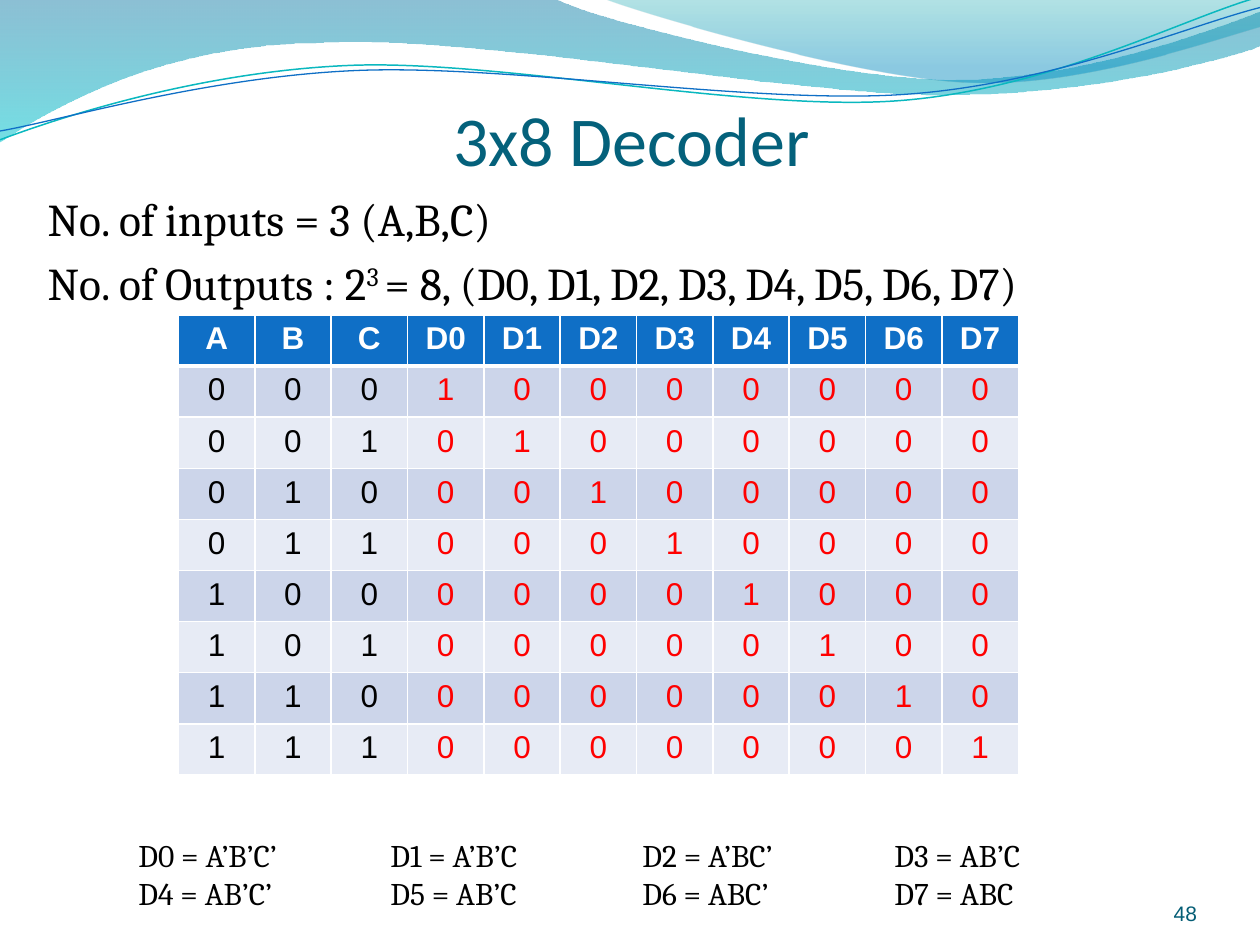
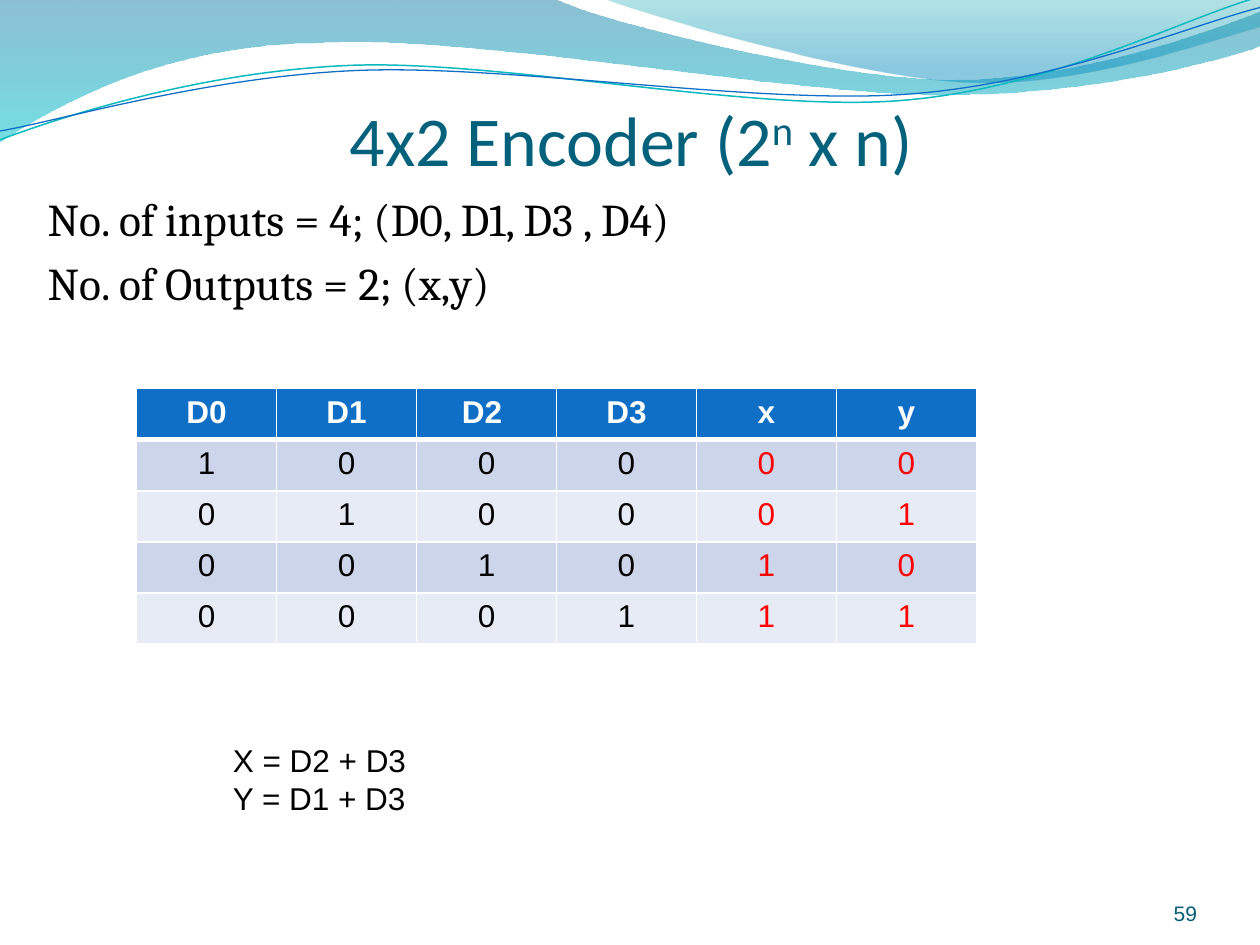
"""Build two slides on a 3x8 decoder and a 4x2 encoder with their truth tables."""
from dataclasses import dataclass
from itertools import product
from typing import NamedTuple

from lxml.etree import SubElement
from pptx import Presentation
from pptx.dml.color import RGBColor
from pptx.enum.text import MSO_ANCHOR as Anchor, PP_ALIGN as Align
from pptx.oxml.ns import qn
from pptx.slide import Slide
from pptx.util import Inches, Pt

COLORS = {
    "title": "04617B", "number": "045D75", "text": "000000", "output": "FF0000",
    "white": "FFFFFF", "header": "0F6FC6", "odd_row": "CCD5EA", "even_row": "E7EBF5",
    "wave_blue": "0074A1", "wave_cyan": "00C6CF", "crest_teal": "00A1A9",
    "crest_blue": "008BBF", "teal_line": "0AB8BF", "blue_line": "0F6FC6",
}


class Box(NamedTuple):
    left: float
    top: float
    width: float
    height: float


class Stop(NamedTuple):
    position: float
    color: str
    opacity: int


class TextStyle(NamedTuple):
    font: str
    size: float
    color: str
    align: Align = Align.LEFT
    anchor: Anchor = Anchor.TOP
    insets: tuple[float, float, float, float] = (0.1, 0.05, 0.1, 0.05)
    space_before: float = 0
    tabs: tuple[float, ...] = ()


@dataclass(frozen=True)
class Wave:
    """A shape whose segments are corners (2 numbers) or cubic curves (6 numbers)."""
    start: tuple[float, float]
    segments: tuple[tuple[float, ...], ...]
    stops: tuple[Stop, ...] = ()
    line_color: str = ""
    line_width: float = 0


@dataclass(frozen=True)
class TruthTable:
    box: Box
    headers: list[str]
    rows: list[tuple[int, ...]]
    input_count: int


@dataclass(frozen=True)
class CircuitSlide:
    """Lines are tuples of pieces, of which every second one is superscript."""
    title: tuple[str, ...]
    facts: list[tuple[str, ...]]
    table: TruthTable
    equations: list[tuple[str, ...]]
    equation_box: Box
    equation_style: TextStyle
    number: int


WAVES = [
    Wave((0, -0.01), (
        (4.4, -0.01), (4.76, 0.17, 6.64, 0.63, 7.58, 0.63),
        (8.53, 0.63, 9.58, 0.26, 10, 0.09), (10.01, 0.36),
        (9.83, 0.44, 8.7, 0.76, 7.46, 0.75), (6.22, 0.75, 3.82, 0.28, 2.57, 0.34),
        (1.29, 0.35, 0.46, 0.83, -0.01, 1.13), (0, -0.01)),
        stops=(Stop(0, "wave_blue", 45), Stop(1, "wave_cyan", 55))),
    Wave((4.79, -0.01), (
        (5.09, 0.11, 6.82, 0.62, 7.69, 0.65), (8.56, 0.69, 9.61, 0.32, 10, 0.21),
        (10, 0), (4.79, -0.01)),
        stops=(Stop(0, "crest_teal", 30), Stop(0.8, "crest_blue", 45))),
    Wave((0, 1.11), (
        (0.48, 0.93, 1.58, 0.57, 2.77, 0.52), (3.95, 0.47, 5.93, 0.89, 7.13, 0.8),
        (8.33, 0.71, 9.38, 0.15, 9.98, -0.02)),
        line_color="teal_line", line_width=0.85),
    Wave((0, 1.04), (
        (0.47, 0.96, 1.64, 0.61, 2.83, 0.56), (4.03, 0.51, 5.97, 0.83, 7.17, 0.75),
        (8.36, 0.67, 9.41, 0.21, 10, 0.06)),
        line_color="blue_line", line_width=0.75),
]

TITLE_BOX = Box(0.75, 0.33, 8.52, 1.1)
FACTS_BOX = Box(0.28, 1.47, 9.52, 5.45)
NUMBER_BOX = Box(8.67, 6.95, 0.83, 0.4)
TABLE_WIDTH = 20 / 3
TITLE_STYLE = TextStyle("Calibri", 40, "title", Align.CENTER, Anchor.BOTTOM, (0, 0.05, 0, 0))
FACTS_STYLE = TextStyle("Cambria", 26, "text", space_before=5.2)
NUMBER_STYLE = TextStyle("Arial", 12, "number", Align.RIGHT, Anchor.BOTTOM, (0, 0, 0, 0))


def rgb(name: str) -> RGBColor:
    return RGBColor.from_string(COLORS[name])


def one_hot(size: int) -> list[tuple[int, ...]]:
    return [tuple(int(row == column) for column in range(size)) for row in range(size)]


def bits(count: int) -> list[tuple[int, ...]]:
    return list(product((0, 1), repeat=count))


def bend_segments(shape, wave: Wave) -> None:
    for line, segment in zip(list(shape.element.iter(qn("a:lnTo"))), wave.segments):
        if len(segment) == 2:
            continue
        line.tag = qn("a:cubicBezTo")
        end_point = line[0]
        for x, y in (segment[0:2], segment[2:4]):
            control = SubElement(line, qn("a:pt"))
            control.set("x", str(Inches(x) - shape.left))
            control.set("y", str(Inches(y) - shape.top))
        line.append(end_point)


def draw_wave(slide: Slide, wave: Wave) -> None:
    builder = slide.shapes.build_freeform(*map(Inches, wave.start))
    ends = [tuple(map(Inches, segment[-2:])) for segment in wave.segments]
    builder.add_line_segments(ends, close=bool(wave.stops))
    shape = builder.convert_to_shape()
    bend_segments(shape, wave)
    shape.shadow.inherit = False
    if not wave.stops:
        shape.fill.background()
        shape.line.color.rgb = rgb(wave.line_color)
        shape.line.width = Pt(wave.line_width)
        return
    shape.line.fill.background()
    shape.fill.gradient()
    shape.fill.gradient_angle = 270
    for gradient_stop, stop in zip(shape.fill.gradient_stops, wave.stops):
        gradient_stop.position = stop.position
        gradient_stop.color.rgb = rgb(stop.color)
    for color, stop in zip(shape.element.iter(qn("a:srgbClr")), wave.stops):
        SubElement(color, qn("a:alpha"), val=str(stop.opacity * 1000))


def draw_text(slide: Slide, box: Box, lines: list[tuple[str, ...]], style: TextStyle) -> None:
    frame = slide.shapes.add_textbox(*map(Inches, box)).text_frame
    frame.word_wrap = True
    frame.vertical_anchor = style.anchor
    (frame.margin_left, frame.margin_top,
     frame.margin_right, frame.margin_bottom) = map(Inches, style.insets)
    for index, pieces in enumerate(lines):
        paragraph = frame.add_paragraph() if index else frame.paragraphs[0]
        paragraph.alignment = style.align
        if index and style.space_before:
            paragraph.space_before = Pt(style.space_before)
        if style.tabs:
            tab_list = SubElement(paragraph._p.get_or_add_pPr(), qn("a:tabLst"))
            for tab in style.tabs:
                SubElement(tab_list, qn("a:tab"), pos=str(Inches(tab)), algn="l")
        paragraph.font.name = style.font
        paragraph.font.size = Pt(style.size)
        paragraph.font.color.rgb = rgb(style.color)
        for position, piece in enumerate(pieces):
            run = paragraph.add_run()
            run.text = piece
            if position % 2:
                run._r.get_or_add_rPr().set("baseline", "30000")


def draw_borders(cell, row_index: int) -> None:
    widths = {"L": 1, "R": 1, "T": 3 if row_index == 1 else 1, "B": 1 if row_index else 3}
    properties = cell._tc.get_or_add_tcPr()
    for side, width in widths.items():
        border = SubElement(properties, qn(f"a:ln{side}"), w=str(Pt(width)))
        SubElement(SubElement(border, qn("a:solidFill")), qn("a:srgbClr"), val=COLORS["white"])


def draw_table(slide: Slide, truth: TruthTable) -> None:
    rows = [truth.headers, *truth.rows]
    table = slide.shapes.add_table(
        len(rows), len(truth.headers), *map(Inches, truth.box)).table
    for row_index, values in enumerate(rows):
        is_header = row_index == 0
        fill_color = "header" if is_header else "odd_row" if row_index % 2 else "even_row"
        for column, value in enumerate(values):
            cell = table.cell(row_index, column)
            draw_borders(cell, row_index)
            cell.fill.solid()
            cell.fill.fore_color.rgb = rgb(fill_color)
            cell.text = str(value)
            paragraph = cell.text_frame.paragraphs[0]
            paragraph.alignment = Align.CENTER
            paragraph.font.name = "Arial"
            paragraph.font.size = Pt(18)
            paragraph.font.bold = is_header
            body_color = "text" if column < truth.input_count else "output"
            paragraph.font.color.rgb = rgb("white" if is_header else body_color)


def draw_slide(slide: Slide, content: CircuitSlide) -> None:
    for wave in WAVES:
        draw_wave(slide, wave)
    draw_text(slide, NUMBER_BOX, [(str(content.number),)], NUMBER_STYLE)
    draw_text(slide, TITLE_BOX, [content.title], TITLE_STYLE)
    draw_text(slide, FACTS_BOX, content.facts, FACTS_STYLE)
    draw_table(slide, content.table)
    draw_text(slide, content.equation_box, content.equations, content.equation_style)


DECODER = CircuitSlide(
    title=("3x8 Decoder",),
    facts=[("No. of inputs = 3 (A,B,C)",),
           ("No. of Outputs : 2", "3 ", "= 8, (D0, D1, D2, D3, D4, D5, D6, D7)")],
    table=TruthTable(
        Box(17 / 12, 2.5, TABLE_WIDTH, 3.65), [*"ABC", *(f"D{index}" for index in range(8))],
        [code + outputs for code, outputs in zip(bits(3), one_hot(8))], 3),
    equations=[("D0 = A’B’C’\tD1 = A’B’C\tD2 = A’BC’\tD3 = AB’C",),
               ("D4 = AB’C’\tD5 = AB’C\tD6 = ABC’\tD7 = ABC",)],
    equation_box=Box(1, 79 / 12, 7.36, 1.01),
    equation_style=TextStyle("Cambria", 18, "text", tabs=(2, 4, 6)),
    number=48,
)
ENCODER = CircuitSlide(
    title=("4x2 Encoder (2", "n", " x n)"),
    facts=[("No. of inputs = 4; (D0, D1, D3 , D4)",), ("No. of Outputs = 2; (x,y)",)],
    table=TruthTable(
        Box(13 / 12, 37 / 12, TABLE_WIDTH, 2.03), ["D0", "D1", "D2 ", "D3", "x", "y"],
        [inputs + code for inputs, code in zip(one_hot(4), bits(2))], 4),
    equations=[("X = D2 + D3",), ("Y = D1 + D3",)],
    equation_box=Box(1.75, 5.83, 1.73, 0.71),
    equation_style=TextStyle("Arial", 18, "text"),
    number=59,
)


def main() -> None:
    presentation = Presentation()
    presentation.slide_width = Inches(10)
    presentation.slide_height = Inches(7.5)
    for content in (DECODER, ENCODER):
        draw_slide(presentation.slides.add_slide(presentation.slide_layouts[6]), content)
    presentation.save("out.pptx")


if __name__ == "__main__":
    main()
